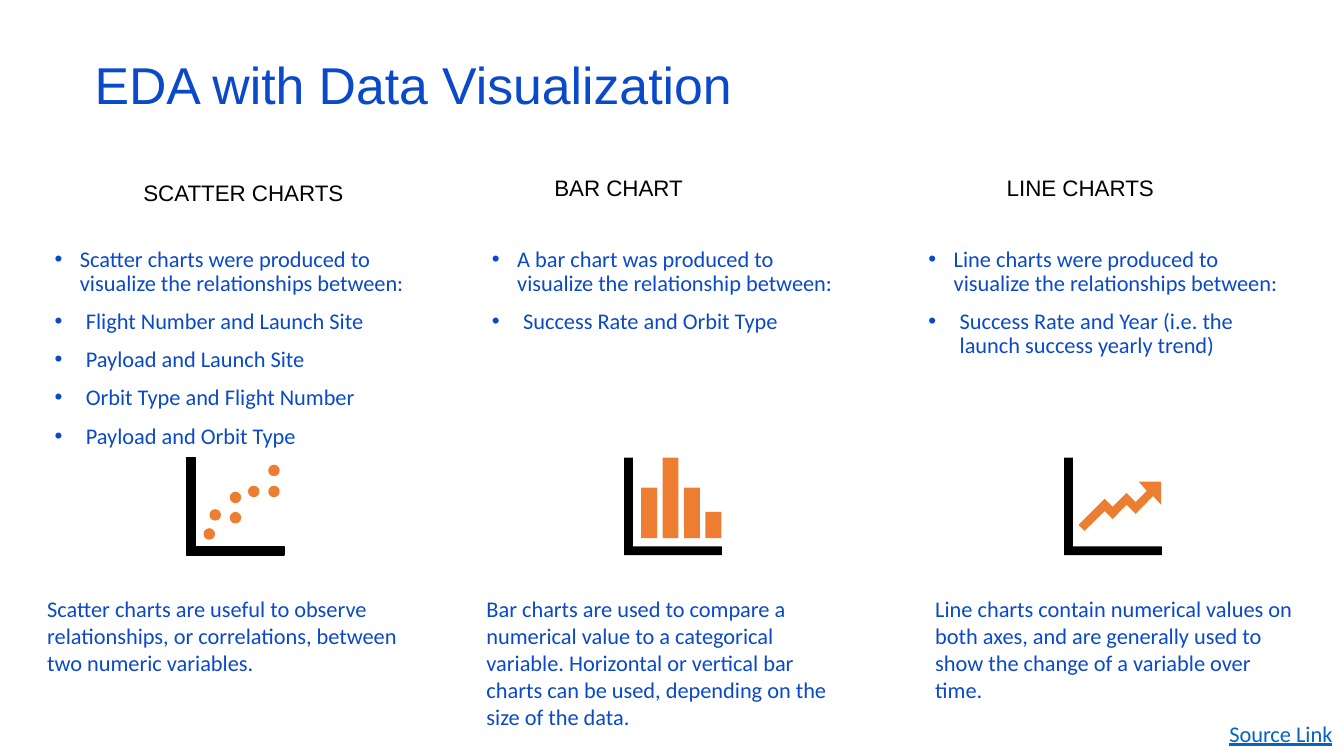
"""Build the slide on exploratory charts: three columns with list, icon and caption."""
from lxml.etree import SubElement
from pptx import Presentation
from pptx.dml.color import RGBColor
from pptx.enum.shapes import MSO_SHAPE as Preset
from pptx.enum.text import MSO_ANCHOR as Anchor, MSO_AUTO_SIZE as AutoSize, PP_ALIGN as Align
from pptx.oxml.ns import qn
from pptx.util import Cm, Pt

BLUE, BLACK, ORANGE, LINK_BLUE = "0B49CB", "000000", "ED7D31", "0563C1"
TITLE = "EDA with Data Visualization"
LINK = "Source Link"
COLUMNS = [
    {
        "heading": "SCATTER CHARTS",
        "heading_box": (3.07, 3.68, 5.84, 2.34),
        "heading_style": (Align.RIGHT, Anchor.MIDDLE),
        "placeholder": 1,
        "list_left": 1.12,
        "items": [
            "Scatter charts were produced to visualize the relationships between:",
            "Flight Number and Launch Site",
            "Payload and Launch Site",
            "Orbit Type and Flight Number",
            "Payload and Orbit Type",
        ],
        "icon_left": 4.7,
        "caption_box": (0.94, 14.88, 9.6, 2.31),
        "caption": "Scatter charts are useful to observe relationships, or correlations, "
                   "between two numeric variables.",
    },
    {
        "heading": "BAR CHART",
        "heading_box": (13.72, 4.27, 8.03, 1.75),
        "heading_style": (Align.LEFT, Anchor.TOP),
        "placeholder": 2,
        "list_left": 12.14,
        "items": [
            "A bar chart was produced to visualize the relationship between:",
            "Success Rate and Orbit Type",
        ],
        "icon_left": 15.73,
        "caption_box": (12.01, 14.88, 9.6, 3.68),
        "caption": "Bar charts are used to compare a numerical value to a categorical variable. "
                   "Horizontal or vertical bar charts can be used, depending on the size of the data.",
    },
    {
        "heading": "LINE CHARTS",
        "heading_box": (25.12, 4.27, 7.62, 1.75),
        "heading_style": (Align.LEFT, Anchor.TOP),
        "placeholder": 4,
        "list_left": 23.14,
        "items": [
            "Line charts were produced to visualize the relationships between:",
            "Success Rate and Year (i.e. the launch success yearly trend)",
        ],
        "icon_left": 26.82,
        "caption_box": (23.32, 14.88, 9.6, 3),
        "caption": "Line charts contain numerical values on both axes, and are generally used "
                   "to show the change of a variable over time.",
    },
]
UNUSED_PLACEHOLDERS = (3, 10, 11, 12)

ICON_TOP, ICON_SIZE, AXIS_WIDTH = 11.53, 2.46, 0.22
DOT_SIZE = 0.29
DOTS = [(0.43, 1.78), (0.58, 1.3), (1.09, 1.37), (1.09, 0.86),
        (1.55, 0.71), (2.06, 0.71), (2.06, 0.18)]
BAR_LEFT, BAR_STEP, BAR_WIDTH, BAR_BASE = 0.43, 0.54, 0.4, 2.03
BAR_HEIGHTS = [1.27, 2.03, 1.27, 0.66]
TREND = [(1.88, 0.61), (2.08, 0.84), (1.8, 1.12), (1.57, 0.89), (1.22, 1.24),
         (1.02, 1.04), (0.36, 1.7), (0.51, 1.85), (1.02, 1.35), (1.22, 1.55),
         (1.57, 1.19), (1.8, 1.42), (2.24, 0.97), (2.44, 1.19), (2.44, 0.61)]


def color(value):
    return RGBColor.from_string(value)


def place(shape, box):
    shape.left, shape.top, shape.width, shape.height = (Cm(length) for length in box)


def prepare(shape, anchor):
    frame = shape.text_frame
    frame.word_wrap = True
    frame.auto_size = AutoSize.NONE
    frame.vertical_anchor = anchor
    return frame


def add_span(para, text, size, font, tint):
    span = para.add_run()
    span.text = text
    span.font.size = Pt(size)
    span.font.name = font
    span.font.bold = False
    span.font.color.rgb = color(tint)
    return span


def add_label(page, box, text, font, tint, align=Align.LEFT, anchor=Anchor.TOP):
    label = page.shapes.add_textbox(*(Cm(length) for length in box))
    para = prepare(label, anchor).paragraphs[0]
    para.alignment = align
    return label, add_span(para, text, 16, font, tint)


def fill_list(holder, items):
    frame = prepare(holder, Anchor.TOP)
    for index, item in enumerate(items):
        para = frame.paragraphs[0] if index == 0 else frame.add_paragraph()
        para.line_spacing = 0.9
        para.space_before = Pt(10 if index else 0)
        indent = Cm(0.79 if index else 0.64)
        settings = para._p.get_or_add_pPr()
        settings.set("marL", str(indent))
        settings.set("indent", str(-indent))
        SubElement(settings, qn("a:buFont"), typeface="Arial")
        SubElement(settings, qn("a:buChar"), char="•")
        add_span(para, item, 16, "Calibri", BLUE)


def paint(shape, tint):
    shape.shadow.inherit = False
    shape.fill.solid()
    shape.fill.fore_color.rgb = color(tint)
    shape.line.fill.background()


def add_preset(page, preset, box, tint):
    shape = page.shapes.add_shape(preset, *(Cm(length) for length in box))
    paint(shape, tint)


def add_outline(page, left, points, tint):
    corners = [(Cm(left + x), Cm(ICON_TOP + y)) for x, y in points]
    builder = page.shapes.build_freeform(*corners[0])
    builder.add_line_segments(corners[1:], close=True)
    shape = builder.convert_to_shape()
    paint(shape, tint)
    return shape


def add_axes(page, left):
    inner = ICON_SIZE - AXIS_WIDTH
    points = [(AXIS_WIDTH, 0), (0, 0), (0, ICON_SIZE), (ICON_SIZE, ICON_SIZE),
              (ICON_SIZE, inner), (AXIS_WIDTH, inner)]
    return add_outline(page, left, points, BLACK)


def add_scatter(page, left):
    axes = add_axes(page, left)
    axes.line.color.rgb = color(BLACK)
    axes.line.width = Pt(1)
    for x, y in DOTS:
        add_preset(page, Preset.OVAL, (left + x, ICON_TOP + y, DOT_SIZE, DOT_SIZE), ORANGE)


def add_bars(page, left):
    add_axes(page, left)
    for index, height in enumerate(BAR_HEIGHTS):
        x = left + BAR_LEFT + index * BAR_STEP
        add_preset(page, Preset.RECTANGLE,
                   (x, ICON_TOP + BAR_BASE - height, BAR_WIDTH, height), ORANGE)


def add_trend(page, left):
    add_axes(page, left)
    add_outline(page, left, TREND, ORANGE)


def main():
    deck = Presentation()
    deck.slide_width, deck.slide_height = Cm(33.87), Cm(19.05)
    page = deck.slides.add_slide(deck.slide_layouts[4])
    holders = {holder.placeholder_format.idx: holder for holder in page.placeholders}
    for index in UNUSED_PLACEHOLDERS:
        if index in holders:
            holders[index].element.getparent().remove(holders[index].element)

    place(holders[0], (2.13, 1.5, 29.21, 1.52))
    para = prepare(holders[0], Anchor.MIDDLE).paragraphs[0]
    para.alignment = Align.LEFT
    para.line_spacing = 0.8
    add_span(para, TITLE, 37, "Arial", BLUE)

    for column, add_icon in zip(COLUMNS, (add_scatter, add_bars, add_trend)):
        add_label(page, column["heading_box"], column["heading"], "Arial", BLACK,
                  *column["heading_style"])
        holder = holders[column["placeholder"]]
        place(holder, (column["list_left"], 6.12, 9.6, 11.33))
        fill_list(holder, column["items"])
        add_icon(page, column["icon_left"])
        add_label(page, column["caption_box"], column["caption"], "Calibri", BLUE)

    label, span = add_label(page, (30.73, 18.01, 3.2, 0.94), LINK, "Calibri", LINK_BLUE)
    label.text_frame.word_wrap = False
    span.font.underline = True
    deck.save("out.pptx")


if __name__ == "__main__":
    main()
